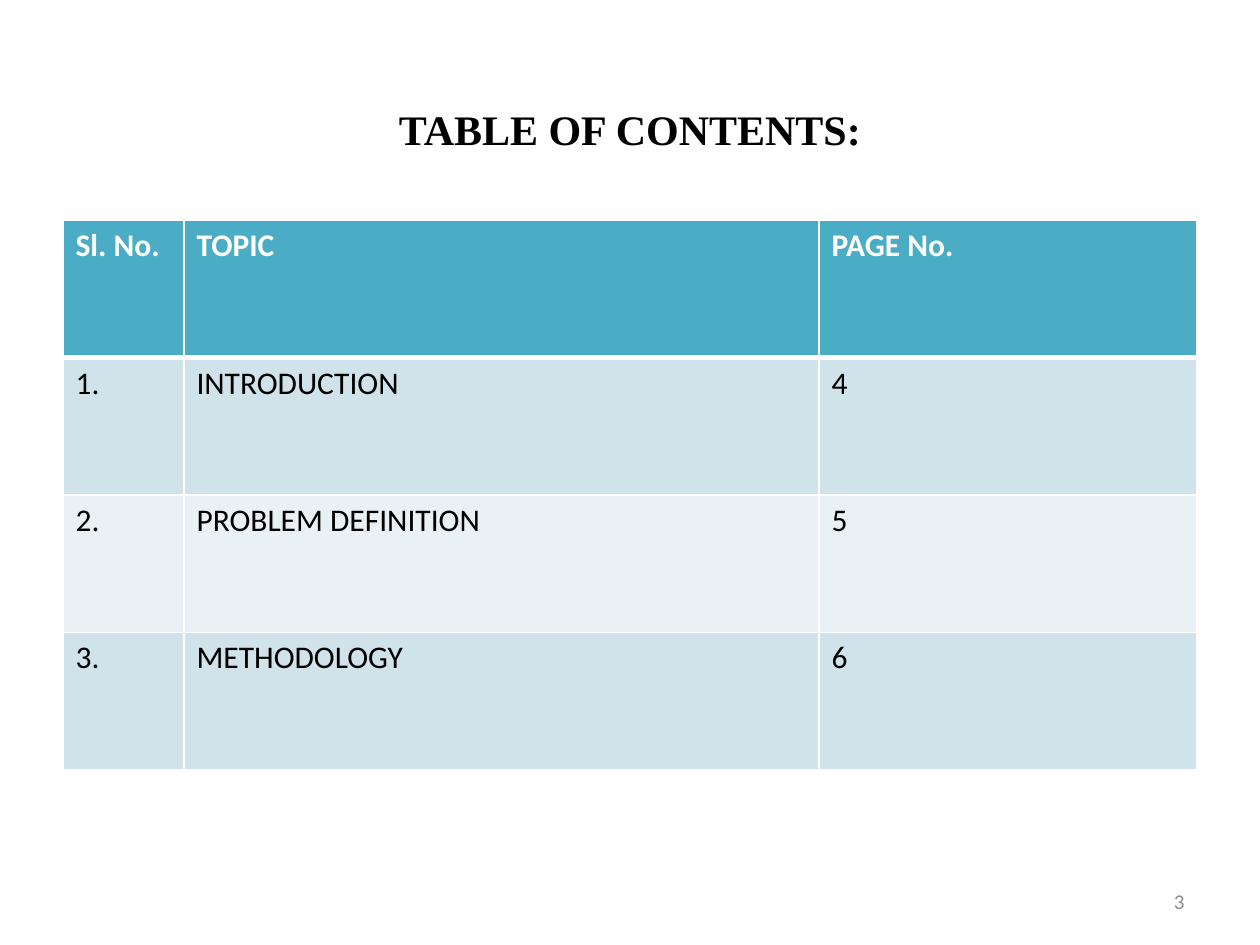
from lxml.etree import SubElement
from pptx import Presentation
from pptx.dml.color import RGBColor
from pptx.enum.text import MSO_ANCHOR, PP_ALIGN
from pptx.oxml.ns import qn
from pptx.util import Inches, Pt

COLORS = {"header": "4BACC6", "odd": "D0E3EA", "even": "E9F1F5",
          "white": "FFFFFF", "black": "000000", "gray": "8C8C8C"}
TITLE = "TABLE OF CONTENTS:"
PAGE_NUMBER = "3"
HEADINGS = ("Sl. No.", "TOPIC", "PAGE No.")
TOPICS = [("INTRODUCTION", "4"), ("PROBLEM DEFINITION", "5"), ("METHODOLOGY", "6")]
COLUMN_WIDTHS = (0.96, 5.04, 3)
ROW_HEIGHT = 1.09
FORMATS = {
    "title": {"name": "Times New Roman", "size": Pt(24), "bold": True},
    "number": {"name": "Calibri", "size": Pt(12), "bold": False},
    "header": {"name": "Calibri", "size": Pt(18), "bold": True},
    "body": {"name": "Calibri", "size": Pt(18), "bold": False},
}


def write(text_frame, text, style, color, alignment=PP_ALIGN.LEFT):
    paragraph = text_frame.paragraphs[0]
    paragraph.alignment = alignment
    run = paragraph.add_run()
    run.text = text
    for attribute, value in FORMATS[style].items():
        setattr(run.font, attribute, value)
    run.font.color.rgb = RGBColor.from_string(COLORS[color])


def add_borders(cell, widths):
    properties = cell._tc.get_or_add_tcPr()
    for side, width in widths.items():
        line = SubElement(properties, qn(f"a:ln{side}"), w=str(Pt(width)))
        fill = SubElement(line, qn("a:solidFill"))
        SubElement(fill, qn("a:srgbClr"), val=COLORS["white"])


presentation = Presentation()
presentation.slide_width, presentation.slide_height = Inches(10), Inches(7.5)
slide = presentation.slides.add_slide(presentation.slide_layouts[5])

title = slide.shapes.title
title.left, title.top, title.width, title.height = map(Inches, (0.51, 0.36, 8.98, 0.91))
title.text_frame.vertical_anchor = MSO_ANCHOR.BOTTOM
write(title.text_frame, TITLE, "title", "black", PP_ALIGN.CENTER)

rows = [HEADINGS] + [(f"{index}.", *topic) for index, topic in enumerate(TOPICS, 1)]
table = slide.shapes.add_table(
    len(rows), len(HEADINGS), Inches(0.5), Inches(1.75),
    Inches(sum(COLUMN_WIDTHS)), Inches(ROW_HEIGHT * len(rows))).table
for column, width in zip(table.columns, COLUMN_WIDTHS):
    column.width = Inches(width)
for row_index, values in enumerate(rows):
    table.rows[row_index].height = Inches(ROW_HEIGHT)
    is_header = row_index == 0
    fill_color = "header" if is_header else "odd" if row_index % 2 else "even"
    for column_index, value in enumerate(values):
        cell = table.cell(row_index, column_index)
        add_borders(cell, {"L": 1, "R": 1, "T": 3 if row_index == 1 else 1,
                           "B": 3 if is_header else 1})
        cell.fill.solid()
        cell.fill.fore_color.rgb = RGBColor.from_string(COLORS[fill_color])
        write(cell.text_frame, value, "header" if is_header else "body",
              "white" if is_header else "black")

number = slide.shapes.add_textbox(*map(Inches, (7.17, 6.95, 2.33, 0.4)))
number.text_frame.word_wrap = True
number.text_frame.vertical_anchor = MSO_ANCHOR.MIDDLE
write(number.text_frame, PAGE_NUMBER, "number", "gray", PP_ALIGN.RIGHT)

presentation.save("out.pptx")
